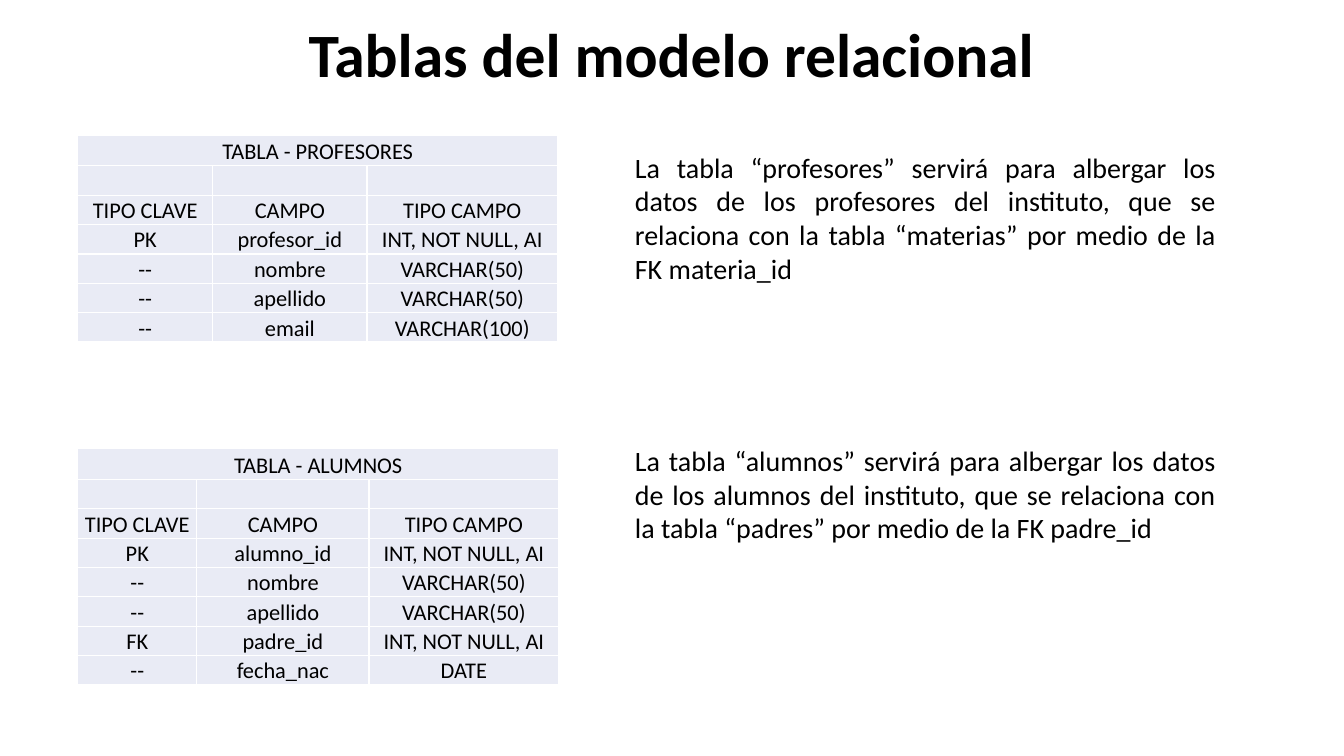
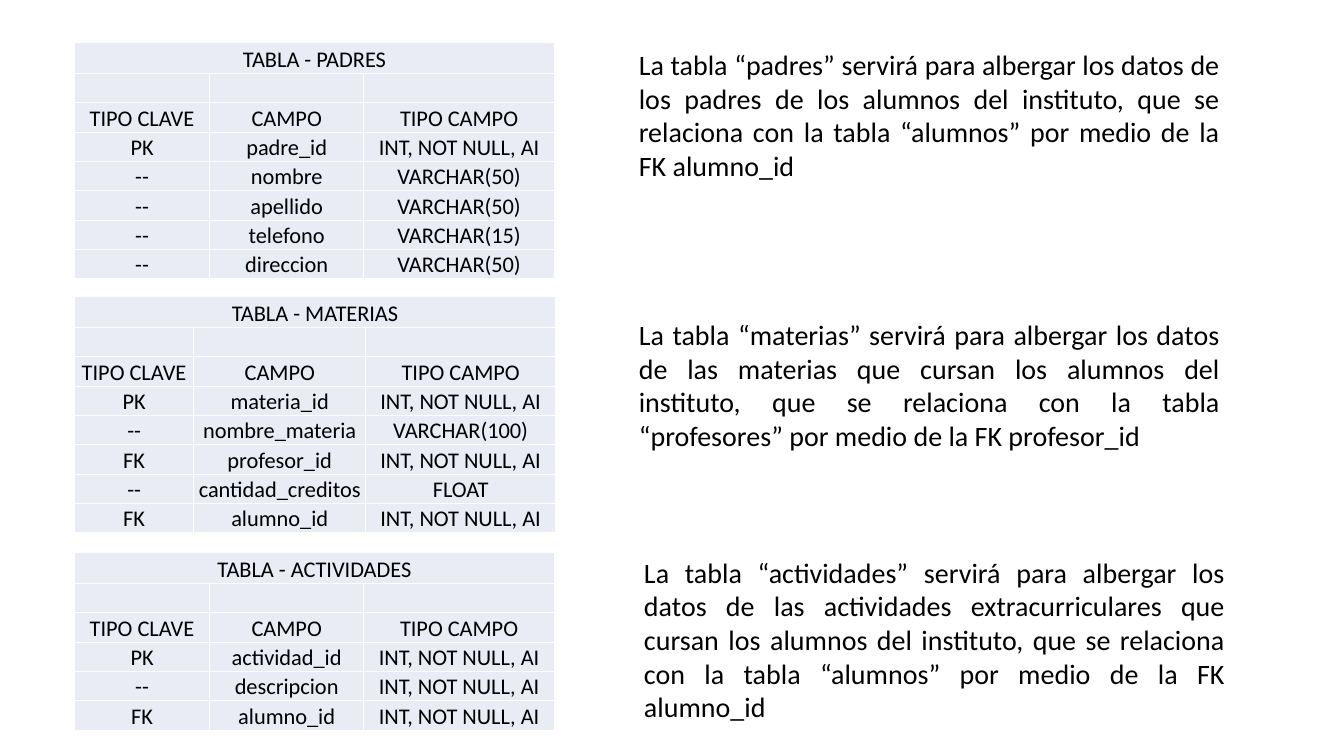
from lxml import etree
from pptx import Presentation
from pptx.dml.color import RGBColor
from pptx.enum import text as t
from pptx.oxml import ns
from pptx.util import Cm, Pt

FONT = "Calibri"
BLACK = RGBColor(0x00, 0x00, 0x00)
WHITE = RGBColor(0xFF, 0xFF, 0xFF)
PALE_BLUE = RGBColor(0xE9, 0xEB, 0xF5)

SLIDE_WIDTH, SLIDE_HEIGHT = 33.87, 19.05
TITLE_BOX = (2.33, 0.33, 29.21, 2.26)
TITLE_ROW, ROW = 0.78, 0.74
EVEN_COLUMNS = (3.4, 3.89, 4.8)
WIDE_FIELD_COLUMNS = (3, 4.34, 4.78)
DESCRIPTION_WIDTH, LINE_HEIGHT, PADDING = 15.14, 0.86, 0.25
TABLE_TEXT, DESCRIPTION_TEXT, TITLE_TEXT = Pt(16), Pt(20), Pt(44)

CELL_FORMAT = {
    "margin_left": Cm(0.02),
    "margin_right": Cm(0.02),
    "margin_top": Cm(0.02),
    "margin_bottom": 0,
    "vertical_anchor": t.MSO_ANCHOR.BOTTOM,
}

HEADINGS = ("TIPO CLAVE", "CAMPO", "TIPO CAMPO")
KEY = "INT, NOT NULL, AI"
NAME_FIELDS = [("--", "nombre", "VARCHAR(50)"), ("--", "apellido", "VARCHAR(50)")]

# Each section: table name, columns, table position, fields,
# description position, number of description lines, description
RELATIONAL_MODEL = [
    ("PROFESORES", EVEN_COLUMNS, (1.96, 3.4),
     [("PK", "profesor_id", KEY), *NAME_FIELDS, ("--", "email", "VARCHAR(100)")],
     (15.75, 3.66), 4,
     "La tabla “profesores” servirá para albergar los datos de los profesores del "
     "instituto, que se relaciona con la tabla “materias” por medio de la FK materia_id"),
    ("ALUMNOS", WIDE_FIELD_COLUMNS, (1.96, 11.3),
     [("PK", "alumno_id", KEY), *NAME_FIELDS, ("FK", "padre_id", KEY),
      ("--", "fecha_nac", "DATE")],
     (15.75, 11.05), 3,
     "La tabla “alumnos” servirá para albergar los datos de los alumnos del "
     "instituto, que se relaciona con la tabla “padres” por medio de la FK padre_id"),
]
FAMILY_AND_COURSES = [
    ("PADRES", EVEN_COLUMNS, (1.88, 1.07),
     [("PK", "padre_id", KEY), *NAME_FIELDS, ("--", "telefono", "VARCHAR(15)"),
      ("--", "direccion", "VARCHAR(50)")],
     (15.85, 1.07), 4,
     "La tabla “padres” servirá para albergar los datos de los padres de los alumnos "
     "del instituto, que se relaciona con la tabla “alumnos” por medio de la FK alumno_id"),
    ("MATERIAS", WIDE_FIELD_COLUMNS, (1.88, 7.47),
     [("PK", "materia_id", KEY), ("--", "nombre_materia", "VARCHAR(100)"),
      ("FK", "profesor_id", KEY), ("--", "cantidad_creditos", "FLOAT"),
      ("FK", "alumno_id", KEY)],
     (15.85, 7.88), 4,
     "La tabla “materias” servirá para albergar los datos de las materias que cursan los "
     "alumnos del instituto, que se relaciona con la tabla “profesores” por medio de la "
     "FK profesor_id"),
    ("ACTIVIDADES", EVEN_COLUMNS, (1.88, 13.92),
     [("PK", "actividad_id", KEY), ("--", "descripcion", KEY), ("FK", "alumno_id", KEY)],
     (15.98, 13.87), 5,
     "La tabla “actividades” servirá para albergar los datos de las actividades "
     "extracurriculares que cursan los alumnos del instituto, que se relaciona con la "
     "tabla “alumnos” por medio de la FK alumno_id"),
]


def set_attributes(target, values):
    for name, value in values.items():
        setattr(target, name, value)


def write(paragraph, words, size, alignment, bold=False):
    paragraph.alignment = alignment
    run = paragraph.add_run()
    run.text = words
    set_attributes(run.font, {"name": FONT, "size": size, "bold": bold})
    run.font.color.rgb = BLACK


def add_text(slide, box, words, size, alignment, frame_format, bold=False):
    frame = slide.shapes.add_textbox(*map(Cm, box)).text_frame
    set_attributes(frame, {"word_wrap": True, **frame_format})
    paragraph = frame.paragraphs[0]
    write(paragraph, words, size, alignment, bold)
    return paragraph


def add_title(slide, words):
    paragraph = add_text(slide, TITLE_BOX, words, TITLE_TEXT, t.PP_ALIGN.CENTER,
                         {"vertical_anchor": t.MSO_ANCHOR.MIDDLE}, bold=True)
    paragraph.line_spacing = 0.9


def add_borders(cell):
    properties = cell._tc.get_or_add_tcPr()
    for index, side in enumerate(("lnL", "lnR", "lnT", "lnB")):
        line = etree.Element(ns.qn(f"a:{side}"), w=str(Pt(1)))
        fill = etree.SubElement(line, ns.qn("a:solidFill"))
        etree.SubElement(fill, ns.qn("a:srgbClr"), val=str(WHITE))
        properties.insert(index, line)


def fill_cell(cell, words):
    set_attributes(cell, CELL_FORMAT)
    cell.fill.solid()
    cell.fill.fore_color.rgb = PALE_BLUE
    add_borders(cell)
    paragraph = cell.text_frame.paragraphs[0]
    if words:
        write(paragraph, words, TABLE_TEXT, t.PP_ALIGN.CENTER)
    else:
        # An empty cell takes its row height from the end-of-paragraph size
        etree.SubElement(paragraph._p, ns.qn("a:endParaRPr"),
                         sz=str(int(TABLE_TEXT.pt * 100)))


def add_field_table(slide, position, name, columns, fields):
    """Draw a table's title, an empty row, the headings and its fields."""
    rows = [(f"TABLA - {name}", "", ""), ("", "", ""), HEADINGS, *fields]
    heights = [TITLE_ROW] + [ROW] * (len(rows) - 1)
    box = (*position, sum(columns), sum(heights))
    table = slide.shapes.add_table(len(rows), len(columns), *map(Cm, box)).table
    set_attributes(table, {"first_row": False, "horz_banding": False})
    for column, width in zip(table.columns, columns):
        column.width = Cm(width)
    for row, height, values in zip(table.rows, heights, rows):
        row.height = Cm(height)
        for cell, words in zip(row.cells, values):
            fill_cell(cell, words)
    table.cell(0, 0).merge(table.cell(0, len(columns) - 1))


def add_section(slide, name, columns, table_position, fields,
                description_position, lines, description):
    add_field_table(slide, table_position, name, columns, fields)
    box = (*description_position, DESCRIPTION_WIDTH, lines * LINE_HEIGHT + PADDING)
    add_text(slide, box, description, DESCRIPTION_TEXT, t.PP_ALIGN.JUSTIFY,
             {"auto_size": t.MSO_AUTO_SIZE.SHAPE_TO_FIT_TEXT})


def add_tables_slide(presentation, sections, title=None):
    slide = presentation.slides.add_slide(presentation.slide_layouts[6])
    if title:
        add_title(slide, title)
    for section in sections:
        add_section(slide, *section)


def main():
    presentation = Presentation()
    set_attributes(presentation, {"slide_width": Cm(SLIDE_WIDTH),
                                  "slide_height": Cm(SLIDE_HEIGHT)})
    add_tables_slide(presentation, RELATIONAL_MODEL, "Tablas del modelo relacional")
    add_tables_slide(presentation, FAMILY_AND_COURSES)
    presentation.save("out.pptx")


if __name__ == "__main__":
    main()
